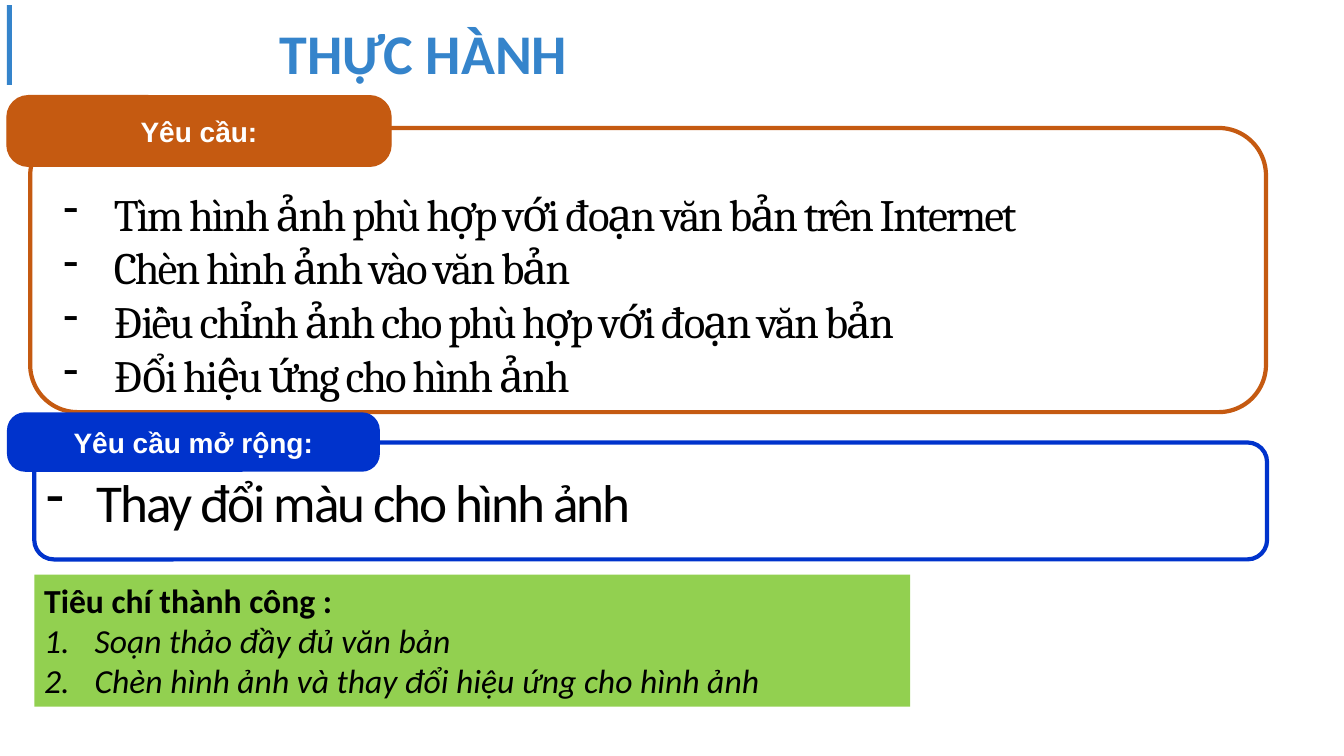
from pptx import Presentation
from pptx.dml.color import RGBColor
from pptx.enum.shapes import MSO_SHAPE
from pptx.enum.text import MSO_ANCHOR, PP_ALIGN
from pptx.oxml.ns import qn
from pptx.util import Pt
from lxml.etree import SubElement

COLORS = {
    "sky": "3584CB",
    "rust": "C55A11",
    "blue": "0033CC",
    "lime": "92D050",
    "white": "FFFFFF",
    "black": "000000",
}


def tint(name):
    return RGBColor.from_string(COLORS[name])


def write(frame, text, size, font="Calibri", color="black", bold=False,
          italic=False, align=PP_ALIGN.LEFT, mark=None, space=0, first=True):
    """Write each line of text as a paragraph of the frame."""
    for line in text.split("\n"):
        para = frame.paragraphs[0] if first else frame.add_paragraph()
        first = False
        para.alignment = align
        run = para.add_run()
        run.text = line
        face = run.font
        face.name, face.size = font, Pt(size)
        face.bold, face.italic = bold, italic
        face.color.rgb = tint(color)
        if space:
            run._r.get_or_add_rPr().set("spc", str(int(space * 100)))
        if mark:
            props = para._p.get_or_add_pPr()
            props.set("marL", str(Pt(36)))
            props.set("indent", str(-Pt(36)))
            if mark == "1.":
                SubElement(props, qn("a:buAutoNum"), type="arabicPeriod")
            else:
                SubElement(props, qn("a:buFontTx"))
                SubElement(props, qn("a:buChar"), char=mark)


class Deck:
    """Holds the style and the current slide."""

    def __init__(self):
        self.show = Presentation()
        self.show.slide_width, self.show.slide_height = Pt(960), Pt(540)
        self.slide = self.show.slides.add_slide(self.show.slide_layouts[6])

    def shape(self, box, kind=MSO_SHAPE.RECTANGLE, fill=None, line=None,
              width=3, bend=None):
        item = self.slide.shapes.add_shape(kind, *map(Pt, box))
        item.shadow.inherit = False
        if bend is not None:
            item.adjustments[0] = bend
        if fill:
            item.fill.solid()
            item.fill.fore_color.rgb = tint(fill)
        else:
            item.fill.background()
        if line:
            item.line.color.rgb = tint(line)
            item.line.width = Pt(width)
        else:
            item.line.fill.background()
        return item

    def text(self, box, words, size, **style):
        frame = self.slide.shapes.add_textbox(*map(Pt, box)).text_frame
        frame.word_wrap = True
        write(frame, words, size, **style)

    def panel(self, box, color):
        self.shape(box, MSO_SHAPE.ROUNDED_RECTANGLE, line=color)

    def label(self, box, words, color, line=None):
        tab = self.shape(box, MSO_SHAPE.ROUNDED_RECTANGLE, fill=color,
                         line=line, width=1, bend=0.303)
        tab.text_frame.word_wrap = True
        tab.text_frame.vertical_anchor = MSO_ANCHOR.MIDDLE
        write(tab.text_frame, words, 20, font="Arial", color="white",
              bold=True, align=PP_ALIGN.CENTER)

    def goals(self, box, title, steps):
        frame = self.shape(box, fill="lime").text_frame
        frame.word_wrap = True
        frame.vertical_anchor = MSO_ANCHOR.TOP
        write(frame, title, 24, bold=True)
        write(frame, steps, 24, italic=True, mark="1.", first=False)


def main():
    deck = Deck()
    deck.shape((5, 3.6, 3.6, 57), fill="sky")
    deck.text((107.3, 10, 390.2, 55.4), "THỰC HÀNH", 40, color="sky",
              bold=True, align=PP_ALIGN.CENTER)

    deck.panel((21.6, 91.4, 882.7, 203), "rust")
    deck.label((5, 68.4, 274.3, 50.4), "Yêu cầu:", "rust", line="rust")
    tasks = ("Tìm hình ảnh phù hợp với đoạn văn bản trên Internet\n"
             "Chèn hình ảnh vào văn bản\n"
             "Điều chỉnh ảnh cho phù hợp với đoạn văn bản\n"
             "Đổi hiệu ứng cho hình ảnh")
    deck.text((38.2, 129.6, 850.3, 200.9), tasks, 32, font="Cambria",
              mark="-", space=-1.5)

    deck.panel((24.5, 316.1, 880.6, 83.5), "blue")
    deck.label((5, 294.5, 266.4, 42.5), "Yêu cầu mở rộng:", "blue")
    deck.goals((24.5, 410.4, 625.7, 94.3), "Tiêu chí thành công :",
               "Soạn thảo đầy đủ văn bản\n"
               "Chèn hình ảnh và thay đổi hiệu ứng cho hình ảnh")
    deck.text((25.9, 331.9, 571, 53.3), "Thay đổi màu cho hình ảnh", 38,
              mark="-", space=-1.5)
    deck.show.save("out.pptx")


if __name__ == "__main__":
    main()
